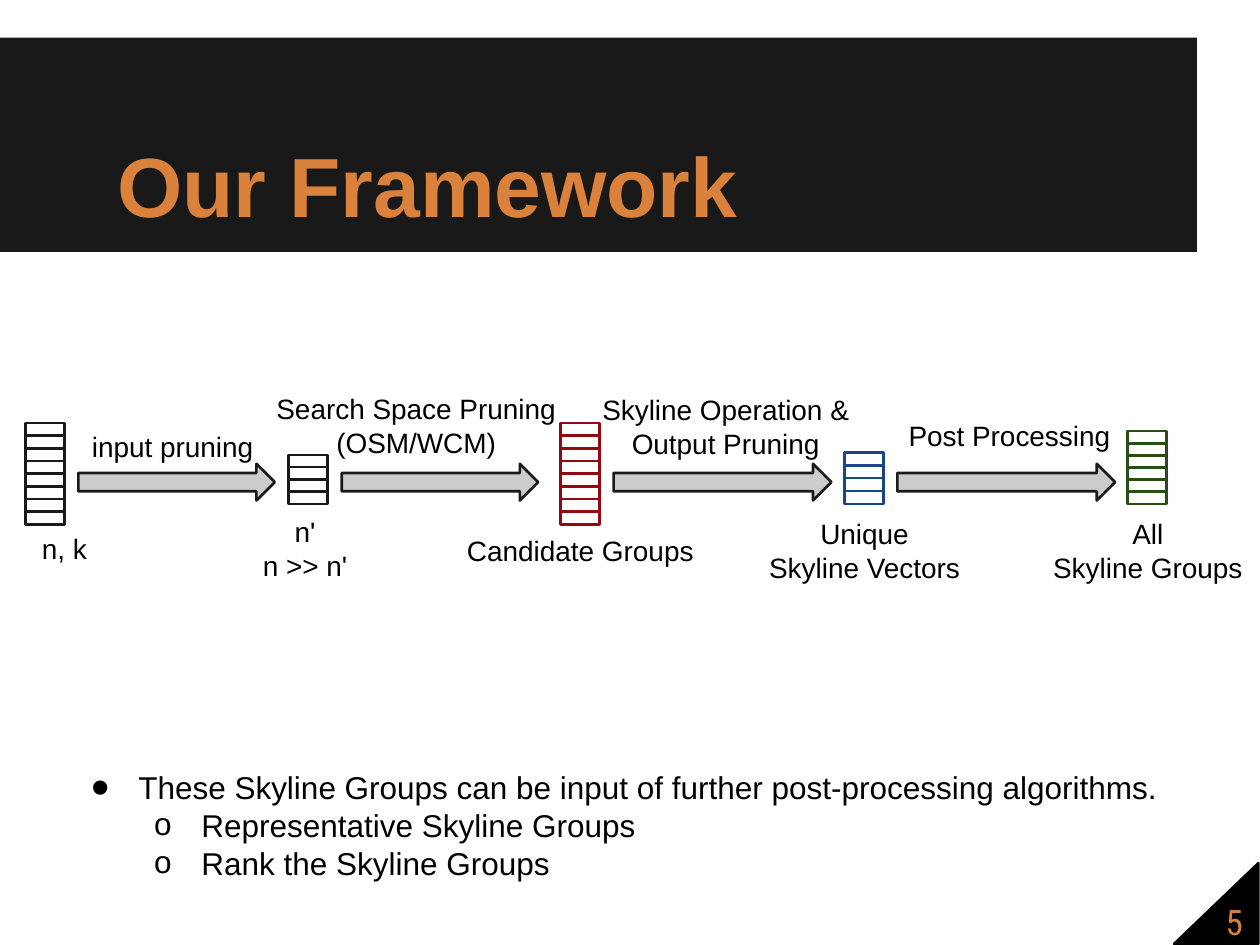
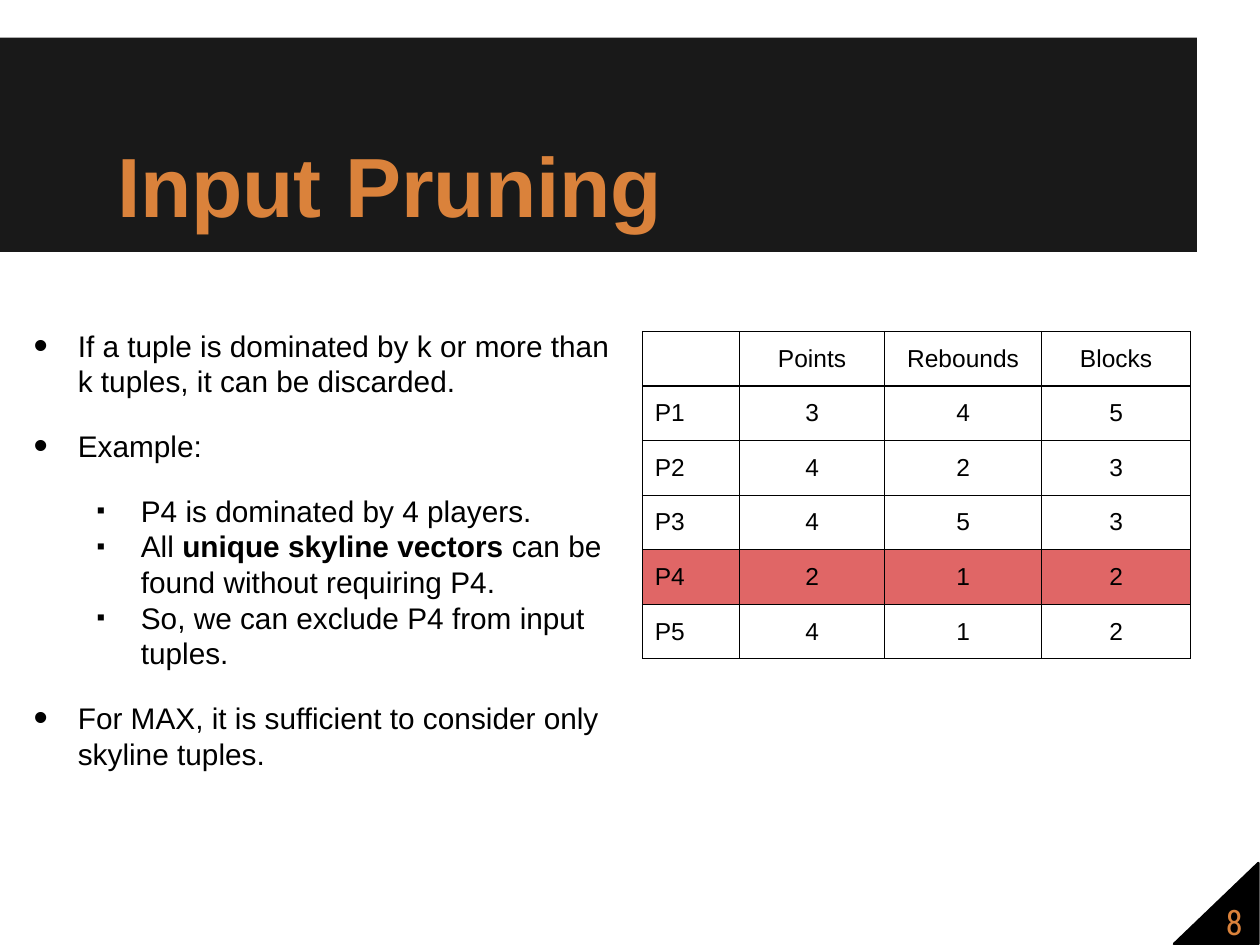
import pptx
import pptx.dml.color
import pptx.enum.shapes
import pptx.enum.text
import pptx.oxml
import pptx.oxml.ns
import pptx.util
from lxml import etree

Cm = pptx.util.Cm
Pt = pptx.util.Pt
rgb = pptx.dml.color.RGBColor.from_string
qn = pptx.oxml.ns.qn
SHAPE = pptx.enum.shapes.MSO_SHAPE
ALIGN = pptx.enum.text.PP_ALIGN
ANCHOR = pptx.enum.text.MSO_ANCHOR

DARK, BLACK, WHITE = "191919", "000000", "FFFFFF"
ORANGE, GREY, PINK = "DA823B", "CCCCCC", "E06666"
RED, BLUE, GREEN = "910A10", "1C4587", "274E13"


def add_box(s, kind, x, y, w, h, fill, line=None):
    sp = s.shapes.add_shape(kind, Cm(x), Cm(y), Cm(w), Cm(h))
    sp.shadow.inherit = False
    sp.fill.solid()
    sp.fill.fore_color.rgb = rgb(fill)
    if line:
        sp.line.color.rgb = rgb(line)
        sp.line.width = Pt(1.5)
    else:
        sp.line.fill.background()
    return sp


def add_text(s, text, x, y, w, h, size, color=BLACK, font="Arial", bold=False,
             align=ALIGN.CENTER, anchor=ANCHOR.MIDDLE, inset=0.25):
    tf = s.shapes.add_textbox(Cm(x), Cm(y), Cm(w), Cm(h)).text_frame
    tf.word_wrap = True
    tf.vertical_anchor = anchor
    tf.margin_left = tf.margin_right = tf.margin_top = tf.margin_bottom = Cm(inset)
    tf.text = text
    for p in tf.paragraphs:
        p.alignment = align
        for r in p.runs:
            r.font.name, r.font.size, r.font.bold = font, Pt(size), bold
            r.font.color.rgb = rgb(color)
    return tf


prs = pptx.Presentation()
prs.slide_width, prs.slide_height = Cm(25.4), Cm(19.05)

# Title band, corner and page number on every slide
for title, number in [("Our Framework", "5"), ("Input Pruning", "8")]:
    s = prs.slides.add_slide(prs.slide_layouts[6])
    add_box(s, SHAPE.RECTANGLE, 0, 0.76, 24.13, 4.32, DARK)
    tf = add_text(s, title, 1.27, 0.76, 22.86, 4.22, 48, ORANGE, bold=True,
                  align=ALIGN.LEFT, anchor=ANCHOR.BOTTOM)
    tf.paragraphs[0]._p.get_or_add_pPr().set("indent", str(Cm(0.84)))
    corner = add_box(s, SHAPE.RIGHT_TRIANGLE, 23.67, 17.4, 1.7, 1.63, BLACK, BLACK)
    corner._element.spPr.xfrm.set("flipH", "1")
    add_text(s, number, 24.26, 18.14, 1.24, 0.89, 20, ORANGE, "Roboto Condensed", inset=0)

framework, pruning = prs.slides

# Framework: stacks of tuples (left, top, bottom, rows, colour)
stacks = [(0.51, 8.53, 10.57, 8, DARK), (5.82, 9.17, 10.16, 4, DARK),
          (11.3, 8.53, 10.57, 8, RED), (17.02, 9.12, 10.16, 4, BLUE),
          (22.73, 8.69, 10.16, 6, GREEN)]
for x, top, bottom, rows, color in stacks:
    h = (bottom - top) / rows
    for i in range(rows):
        add_box(framework, SHAPE.RECTANGLE, x, top + i * h, 0.79, h, WHITE, color)

# Framework: an arrow after each stack but the last
for (x, *_), w in zip(stacks, [3.96, 3.96, 4.39, 4.39]):
    add_box(framework, SHAPE.RIGHT_ARROW, x + 1.07, 9.35, w, 0.74, GREY, DARK)

# Framework: labels by their centre
label_w, label_h = 6.6, 1.9
for text, cx, cy in [("input pruning", 3.48, 8.99),
                     ("Search Space Pruning\n(OSM/WCM)", 8.39, 8.57),
                     ("Skyline Operation &\nOutput Pruning", 14.63, 8.59),
                     ("Post Processing", 20.35, 8.78),
                     ("n, k", 1.3, 11.05), ("n'\nn >> n'", 6.15, 11.05),
                     ("Candidate Groups", 11.7, 11.1),
                     ("Unique\nSkyline Vectors", 17.43, 11.1),
                     ("All\nSkyline Groups", 23.14, 11.1)]:
    add_text(framework, text, cx - label_w / 2, cy - label_h / 2, label_w, label_h, 16)

# Bullet lists: level, bullet, bullet size in %, space before, text
framework_items = [
    (0, "•", 167, 0, "These Skyline Groups can be input of further post-processing algorithms."),
    (1, "o", 100, 0, "Representative Skyline Groups"),
    (1, "o", 100, 0, "Rank the Skyline Groups")]
pruning_items = [
    (0, "•", 137, 0, "If a tuple is dominated by k or more than k tuples, it can be discarded."),
    (0, "•", 137, 16.5, "Example:"),
    (1, "▪", 82, 16.5, "P4 is dominated by 4 players."),
    (1, "▪", 82, 0, "All *unique skyline vectors* can be found without requiring P4."),
    (1, "▪", 82, 0, "So, we can exclude P4 from input tuples."),
    (0, "•", 137, 16.5, "For MAX, it is sufficient to consider only skyline tuples.")]
for s, box, size, hang, items in [
        (framework, (1.27, 15.24, 23.06, 3.15), 18, 0.95, framework_items),
        (pruning, (0.05, 6.35, 12.73, 9.7), 17, 0.89, pruning_items)]:
    tf = add_text(s, "\n".join(item[-1] for item in items), *box, size,
                  align=ALIGN.LEFT, anchor=ANCHOR.TOP)
    for p, (level, char, pct, gap, text) in zip(tf.paragraphs, items):
        p.level = level
        p.space_before = Pt(gap)
        pPr = p._p.get_or_add_pPr()
        pPr.set("marL", str(Cm(1.27 * (level + 1))))
        pPr.set("indent", str(-Cm(hang)))
        clr = etree.SubElement(pPr, qn("a:buClr"))
        etree.SubElement(clr, qn("a:srgbClr"), val=BLACK)
        etree.SubElement(pPr, qn("a:buSzPct"), val=str(pct * 1000))
        etree.SubElement(pPr, qn("a:buFont"), typeface="Arial")
        etree.SubElement(pPr, qn("a:buChar"), char=char)
        # Starred words become a bold run
        if "*" in text:
            parts = text.split("*")
            p.runs[0].text = parts[0]
            for i, part in enumerate(parts[1:]):
                r = p.add_run()
                r.text = part
                r.font.name, r.font.size, r.font.bold = "Arial", Pt(size), i == 0
                r.font.color.rgb = rgb(BLACK)

# Player table
players = [["", "Points", "Rebounds", "Blocks"],
           ["P1", "3", "4", "5"],
           ["P2", "4", "2", "3"],
           ["P3", "4", "5", "3"],
           ["P4", "2", "1", "2"],
           ["P5", "4", "1", "2"]]
col_widths = [1.96, 2.92, 3.17, 3]
row_h = 1.1
table = pruning.shapes.add_table(len(players), len(col_widths), Cm(12.95), Cm(6.68),
                                 Cm(sum(col_widths)), Cm(row_h * len(players))).table
table.first_row = table.horz_banding = False
for col, w in zip(table.columns, col_widths):
    col.width = Cm(w)
for i, row in enumerate(players):
    table.rows[i].height = Cm(row_h)
    for j, text in enumerate(row):
        cell = table.cell(i, j)
        cell.text = text
        cell.vertical_anchor = ANCHOR.MIDDLE
        cell.margin_left = cell.margin_right = Cm(0.25)
        cell.margin_top = cell.margin_bottom = Cm(0.1)
        p = cell.text_frame.paragraphs[0]
        p.alignment = ALIGN.CENTER if j else ALIGN.LEFT
        for r in p.runs:
            r.font.name, r.font.size = "Arial", Pt(14)
            r.font.color.rgb = rgb(BLACK)
        tcPr = cell._tc.get_or_add_tcPr()
        for side in ("a:lnL", "a:lnR", "a:lnT", "a:lnB"):
            ln = etree.SubElement(tcPr, qn(side), w=str(Pt(0.75)))
            fill = etree.SubElement(ln, qn("a:solidFill"))
            etree.SubElement(fill, qn("a:srgbClr"), val=BLACK)
        cell.fill.solid()
        cell.fill.fore_color.rgb = rgb(PINK if row[0] == "P4" else WHITE)

prs.save("out.pptx")
